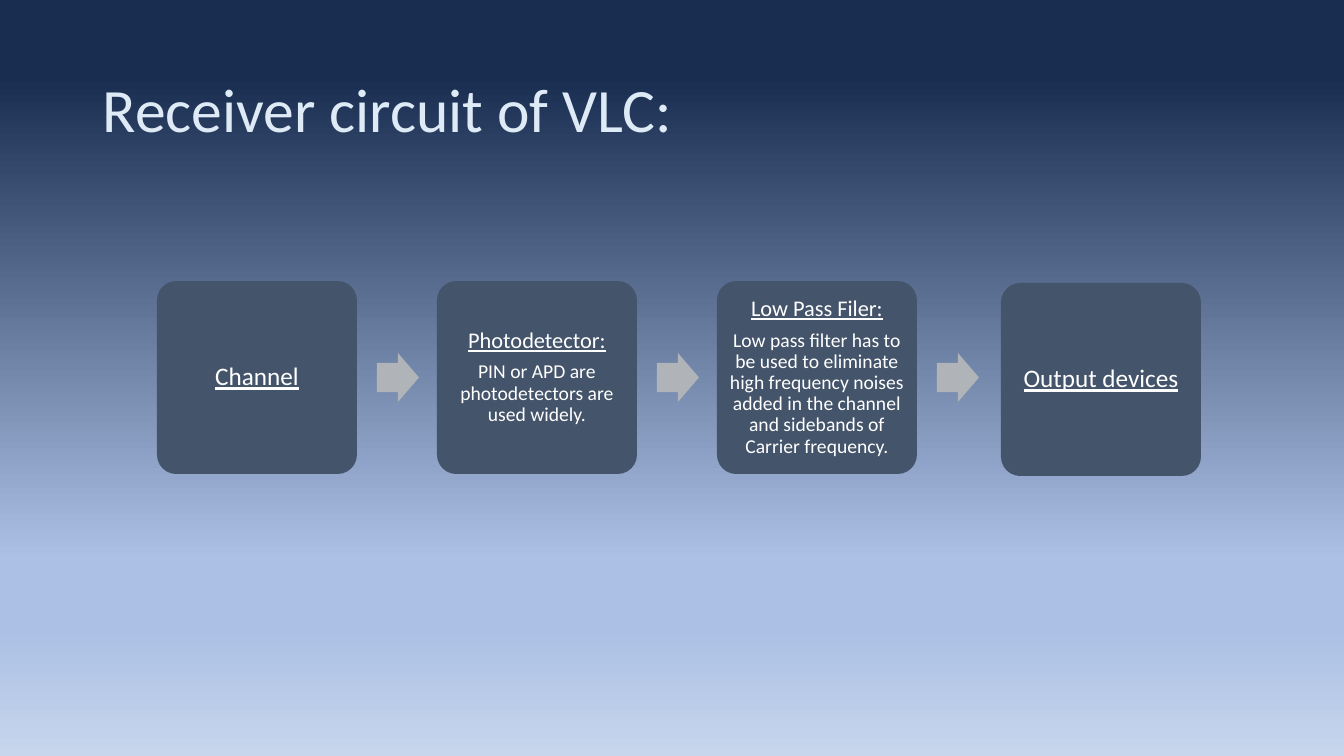
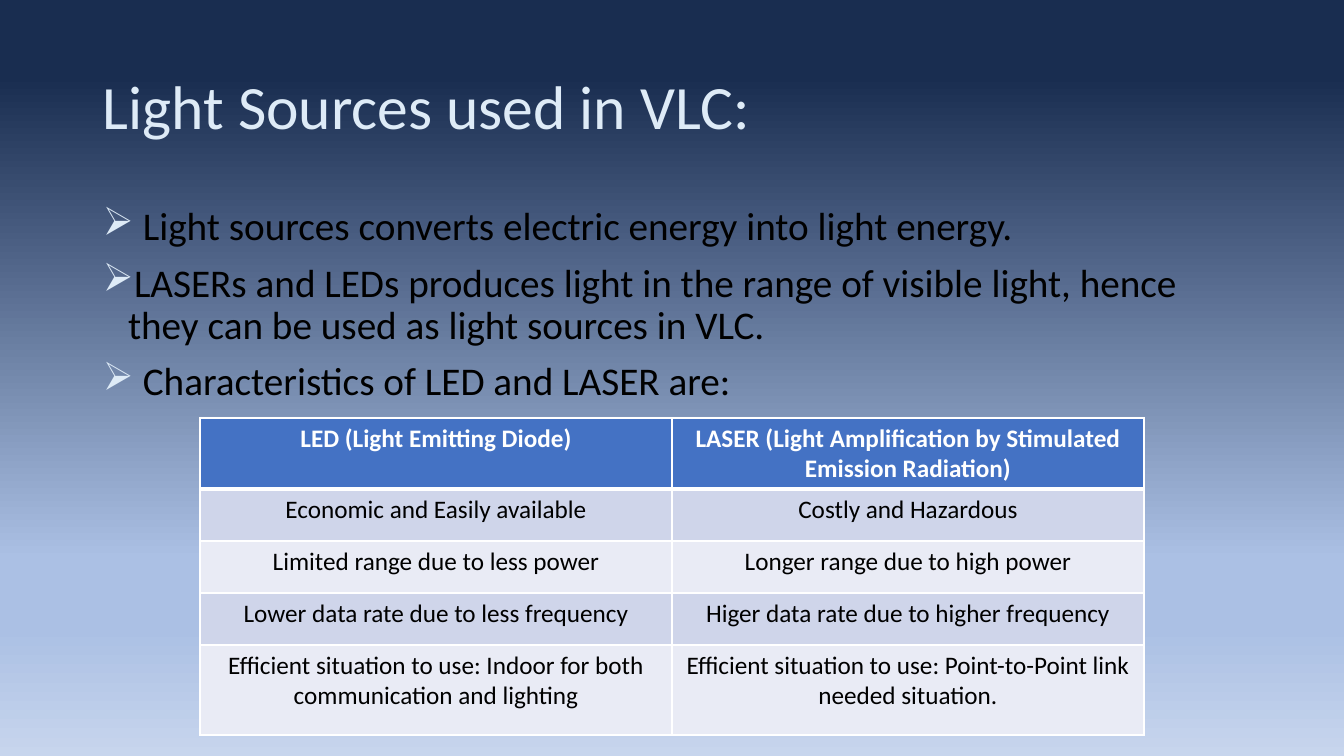
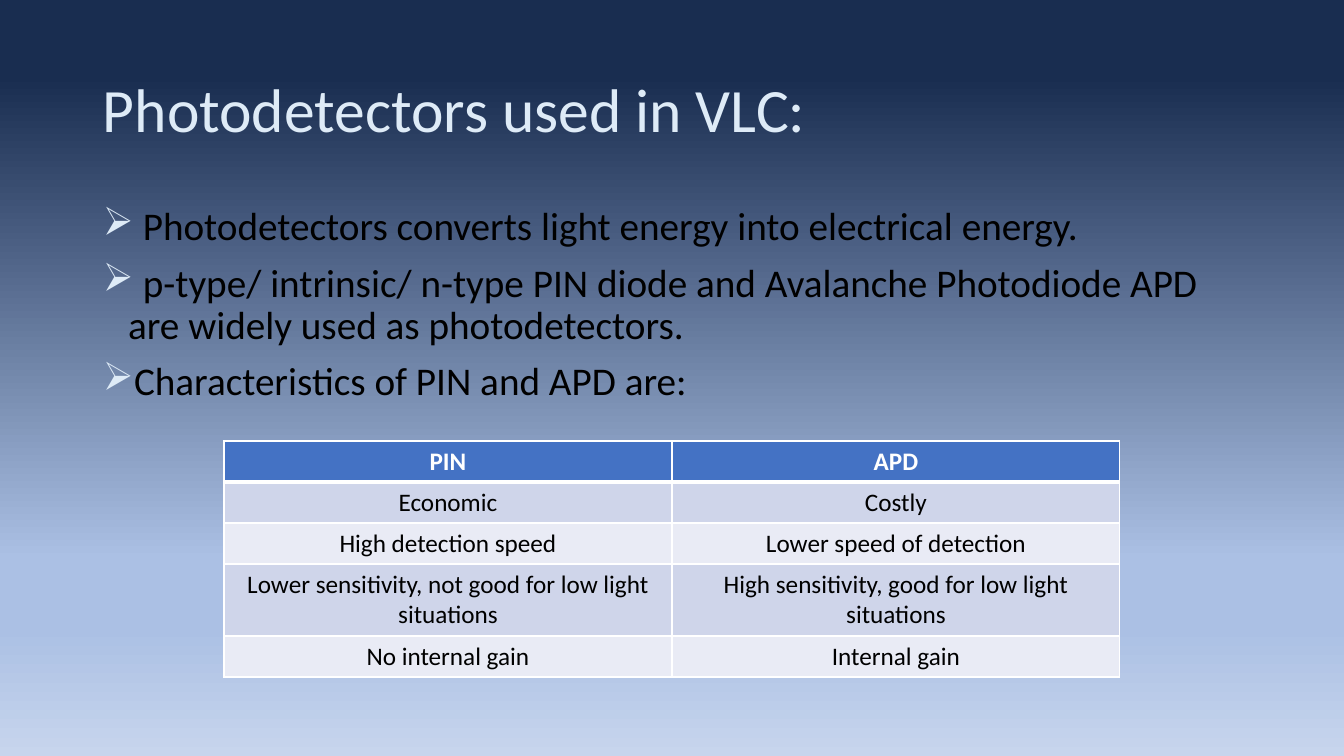
"""Build three slides on visible light communication: receiver, light sources and photodetectors."""
from lxml import etree
from pptx import Presentation
from pptx.dml.color import RGBColor
from pptx.enum.shapes import MSO_SHAPE
from pptx.enum.text import MSO_ANCHOR, PP_ALIGN
from pptx.oxml.ns import qn
from pptx.util import Emu, Pt

ROUNDED, ARROW = MSO_SHAPE.ROUNDED_RECTANGLE, MSO_SHAPE.RIGHT_ARROW
MIDDLE, CENTER = MSO_ANCHOR.MIDDLE, PP_ALIGN.CENTER

FONT = "Calibri"
PALE, WHITE, BLACK = "DEEBF7", "FFFFFF", "000000"
STEP_FILL, ARROW_FILL, HEADER_FILL = "44546A", "B0B4B9", "4472C4"
BANDS = ("CFD5EA", "E9EBF5")
BACKDROP = [(10, "192D50"), (74, "ABC0E4"), (83, "ABC0E4"), (100, "C7D5ED")]

SLIDE_W, SLIDE_H = 1344, 756
MARGIN, TEXT_W = 93, 1159
TITLE_H, BODY_TOP, BODY_H = 146, 202, 480
STEP_W, STEP_H, STEP_INSET = 200, 193, 7
ARROW_TOP, ARROW_W, ARROW_H, ARROW_GAP = 353, 42, 49, 20

RECEIVER = {
    "title": "Receiver circuit of VLC:",
    "title_top": 40,
    "steps": [
        (157, 281, "Channel", ""),
        (437, 281, "Photodetector:", "PIN or APD are photodetectors are used widely."),
        (717, 281, "Low Pass Filer:",
         "Low pass filter has to be used to eliminate high frequency noises added in the "
         "channel and sidebands of Carrier frequency."),
        (1001, 283, "Output devices", ""),
    ],
}
COMPARISONS = [
    {
        "title": "Light Sources used in VLC:",
        "title_top": 37,
        "points": [
            " Light sources converts electric energy into light energy.",
            "LASERs and LEDs produces light in the range of visible light, hence they can be "
            "used as light sources in VLC.",
            " Characteristics of LED and LASER are:",
        ],
        "table_top": 418,
        "column_w": 472,
        "row_heights": [71, 52, 52, 52, 90],
        "rows": [
            ("LED (Light Emitting Diode)",
             "LASER (Light Amplification by Stimulated Emission Radiation)"),
            ("Economic and Easily available", "Costly and Hazardous"),
            ("Limited range due to less power", "Longer range due to high power"),
            ("Lower data rate due to less frequency", "Higer data rate due to higher frequency"),
            ("Efficient situation to use: Indoor for both communication and lighting",
             "Efficient situation to use: Point-to-Point link needed situation."),
        ],
    },
    {
        "title": "Photodetectors used in VLC:",
        "title_top": 40,
        "points": [
            " Photodetectors converts light energy into electrical energy.",
            " p-type/ intrinsic/ n-type PIN diode and Avalanche Photodiode APD are widely used "
            "as photodetectors.",
            "Characteristics of PIN and APD are:",
        ],
        "table_top": 441,
        "column_w": 448,
        "row_heights": [41, 41, 41, 72, 41],
        "rows": [
            ("PIN", "APD"),
            ("Economic", "Costly"),
            ("High detection speed", "Lower speed of detection"),
            ("Lower sensitivity, not good for low light situations",
             "High sensitivity, good for low light situations"),
            ("No internal gain", "Internal gain"),
        ],
    },
]


def px(length):
    return Emu(round(length * 12192000 / SLIDE_W))


def rgb(color):
    return RGBColor.from_string(color)


def add_color(parent, color):
    etree.SubElement(parent, qn("a:srgbClr"), val=color)


def style(paragraph, size, color, bold=False, underline=False):
    font = paragraph.font
    font.name, font.size, font.bold, font.underline = FONT, Pt(size), bold, underline
    font.color.rgb = rgb(color)


def paint_backdrop(master):
    fill = master.background.fill
    fill.gradient()
    fill.gradient_angle = 270
    stops = master.element.find(".//" + qn("a:gsLst"))
    for stop in list(stops):
        stops.remove(stop)
    for percent, color in BACKDROP:
        add_color(etree.SubElement(stops, qn("a:gs"), pos=str(percent * 1000)), color)


def add_text(slide, top, height, lines, size, color):
    frame = slide.shapes.add_textbox(px(MARGIN), px(top), px(TEXT_W), px(height)).text_frame
    frame.word_wrap = True
    frame.text = "\n".join(lines)
    for paragraph in frame.paragraphs:
        paragraph.line_spacing = 0.9
        style(paragraph, size, color)
    return frame


def add_slide(deck, content):
    slide = deck.slides.add_slide(deck.slide_layouts[6])
    title = add_text(slide, content["title_top"], TITLE_H, [content["title"]], 44, PALE)
    title.vertical_anchor = MIDDLE
    return slide


def add_points(slide, points):
    for paragraph in add_text(slide, BODY_TOP, BODY_H, points, 28, BLACK).paragraphs:
        paragraph.space_before = Pt(10)
        props = paragraph._p.get_or_add_pPr()
        props.set("marL", "228600")
        props.set("indent", "-228600")
        bullet_color = etree.Element(qn("a:buClr"))
        add_color(bullet_color, PALE)
        bullet = etree.Element(qn("a:buChar"), char="➢")
        spacing = props.find(qn("a:spcBef"))
        spacing.addnext(bullet_color)
        bullet_color.addnext(bullet)


def add_block(slide, kind, left, top, width, height, color, adjustments):
    block = slide.shapes.add_shape(kind, px(left), px(top), px(width), px(height))
    block.shadow.inherit = False
    block.fill.solid()
    block.fill.fore_color.rgb = rgb(color)
    block.line.fill.background()
    for index, value in enumerate(adjustments):
        block.adjustments[index] = value
    return block


def add_step(slide, left, top, heading, detail):
    step = add_block(slide, ROUNDED, left, top, STEP_W, STEP_H, STEP_FILL, [0.1])
    frame = step.text_frame
    frame.word_wrap = True
    frame.vertical_anchor = MIDDLE
    frame.margin_left = frame.margin_right = px(STEP_INSET)
    frame.margin_top = frame.margin_bottom = px(STEP_INSET)
    frame.text = f"{heading}\n{detail}" if detail else heading
    for index, paragraph in enumerate(frame.paragraphs):
        paragraph.alignment = CENTER
        paragraph.line_spacing = 0.9
        paragraph.space_after = Pt(6)
        size = 14 if index else 16 if detail else 18
        style(paragraph, size, WHITE, underline=index == 0)


def add_borders(cell, top, bottom):
    props = cell._tc.get_or_add_tcPr()
    for index, (side, width) in enumerate([("L", 1), ("R", 1), ("T", top), ("B", bottom)]):
        border = etree.Element(qn(f"a:ln{side}"), w=str(Pt(width)))
        add_color(etree.SubElement(border, qn("a:solidFill")), WHITE)
        props.insert(index, border)


def add_comparison(slide, content):
    rows, heights = content["rows"], content["row_heights"]
    width = content["column_w"] * len(rows[0])
    table = slide.shapes.add_table(
        len(rows), len(rows[0]), px((SLIDE_W - width) / 2), px(content["table_top"]),
        px(width), px(sum(heights))).table
    for column in table.columns:
        column.width = px(content["column_w"])
    for r, (texts, height) in enumerate(zip(rows, heights)):
        table.rows[r].height = px(height)
        header = r == 0
        for c, text in enumerate(texts):
            cell = table.cell(r, c)
            cell.text = text
            cell.fill.solid()
            cell.fill.fore_color.rgb = rgb(HEADER_FILL if header else BANDS[(r - 1) % 2])
            add_borders(cell, top=3 if r == 1 else 1, bottom=3 if header else 1)
            paragraph = cell.text_frame.paragraphs[0]
            paragraph.alignment = CENTER
            style(paragraph, 18, WHITE if header else BLACK, bold=header)


def main():
    deck = Presentation()
    deck.slide_width, deck.slide_height = px(SLIDE_W), px(SLIDE_H)
    paint_backdrop(deck.slide_master)

    receiver = add_slide(deck, RECEIVER)
    for step in RECEIVER["steps"]:
        add_step(receiver, *step)
    for left, *_ in RECEIVER["steps"][:-1]:
        add_block(receiver, ARROW, left + STEP_W + ARROW_GAP, ARROW_TOP,
                  ARROW_W, ARROW_H, ARROW_FILL, [0.6, 0.5])

    for content in COMPARISONS:
        slide = add_slide(deck, content)
        add_points(slide, content["points"])
        add_comparison(slide, content)

    deck.save("out.pptx")


if __name__ == "__main__":
    main()
